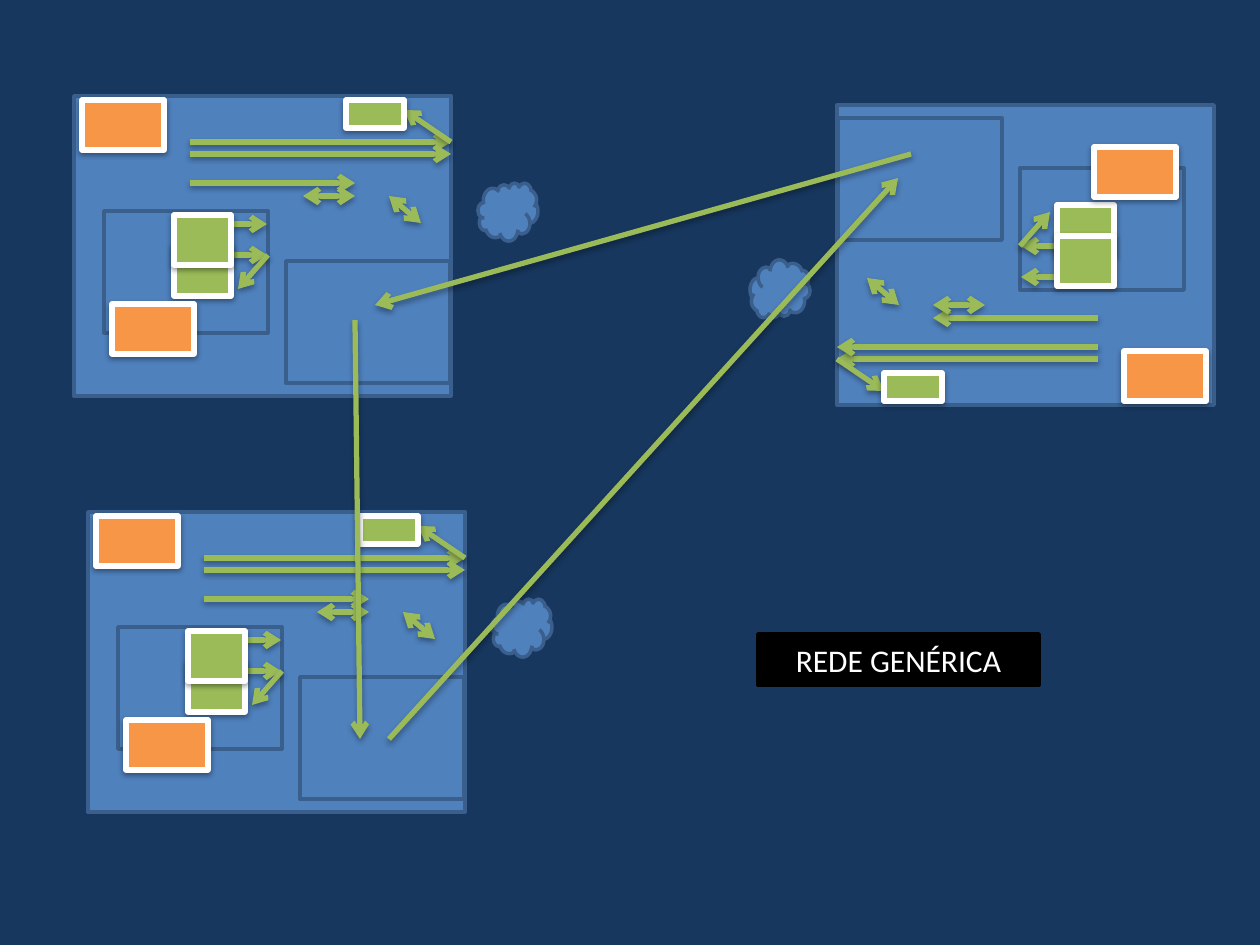
from dataclasses import dataclass

from lxml import etree
from pptx import Presentation
from pptx.dml.color import RGBColor
from pptx.enum.shapes import MSO_CONNECTOR, MSO_SHAPE
from pptx.enum.text import MSO_ANCHOR, PP_ALIGN
from pptx.oxml.ns import qn
from pptx.util import Pt

RECT, CLOUD = MSO_SHAPE.RECTANGLE, MSO_SHAPE.CLOUD
STRAIGHT = MSO_CONNECTOR.STRAIGHT
CENTER, MIDDLE = PP_ALIGN.CENTER, MSO_ANCHOR.MIDDLE
EMU_PER_PX = 914400 / 126


@dataclass(frozen=True)
class Theme:
    background: str = "17375E"
    panel: str = "4F81BD"
    panel_edge: str = "3A5F8C"
    orange: str = "F79646"
    green: str = "9BBB59"
    white: str = "FFFFFF"
    black: str = "000000"
    font: str = "Calibri"
    label_size: int = 18
    thin: int = 2
    thick: int = 3


THEME = Theme()

# Parts of one site, in px from the corner of its main panel
PANELS = [
    (CLOUD, 404, 87, 60, 58),
    (RECT, 0, 0, 377, 300),
    (RECT, 30, 115, 164, 122),
    (RECT, 212, 165, 164, 122),
]
ONE_WAY = [
    (116, 46, 377, 46),
    (116, 58, 377, 58),
    (377, 46, 330, 14),
    (158, 128, 193, 128),
    (158, 159, 193, 159),
    (194, 159, 164, 193),
    (116, 87, 281, 87),
]
TWO_WAY = [(229, 100, 281, 100), (347, 127, 315, 100)]
NODES = [
    (THEME.orange, 8, 4, 82, 50),
    (THEME.green, 100, 150, 57, 50),
    (THEME.green, 100, 119, 57, 50),
    (THEME.green, 272, 4, 58, 28),
    (THEME.orange, 38, 208, 82, 50),
]

# Corner of each site and its direction: -1 is turned by half a circle
SITES = [(74, 96, 1), (88, 512, 1), (1214, 405, -1)]
LINKS = [(355, 320, 360, 739), (389, 739, 898, 178), (911, 154, 375, 305)]


def px(length):
    return round(length * EMU_PER_PX)


def rgb(color):
    return RGBColor.from_string(color)


def add_shadow(element, alpha, distance):
    properties = element._element.spPr
    effects = properties.find(qn("a:effectLst"))
    if effects is None:
        effects = etree.SubElement(properties, qn("a:effectLst"))
    shadow = etree.SubElement(effects, qn("a:outerShdw"), blurRad="40000",
                              dist=str(distance), dir="5400000", rotWithShape="0")
    color = etree.SubElement(shadow, qn("a:srgbClr"), val=THEME.black)
    etree.SubElement(color, qn("a:alpha"), val=str(alpha * 1000))


def add_box(shapes, kind, left, top, width, height, *, fill, edge, weight, shadow=False):
    box = shapes.add_shape(kind, px(left), px(top), px(width), px(height))
    box.fill.solid()
    box.fill.fore_color.rgb = rgb(fill)
    box.line.color.rgb = rgb(edge)
    box.line.width = Pt(weight)
    box.shadow.inherit = False
    if shadow:
        add_shadow(box, 38, 20000)
    return box


def add_arrow(shapes, x1, y1, x2, y2, *, both=False):
    arrow = shapes.add_connector(STRAIGHT, px(x1), px(y1), px(x2), px(y2))
    arrow.line.color.rgb = rgb(THEME.green)
    arrow.line.width = Pt(THEME.thick)
    line = arrow.line._get_or_add_ln()
    for end in ("a:headEnd", "a:tailEnd") if both else ("a:tailEnd",):
        etree.SubElement(line, qn(end), type="arrow")
    add_shadow(arrow, 35, 23000)


def write_text(box, text, *, size, color, align=CENTER):
    frame = box.text_frame
    frame.word_wrap = True
    frame.vertical_anchor = MIDDLE
    para = frame.paragraphs[0]
    para.alignment = align
    span = para.add_run()
    span.text = text
    span.font.name = THEME.font
    span.font.size = Pt(size)
    span.font.color.rgb = rgb(color)


def add_site(page, x, y, direction):
    shapes = page.shapes.add_group_shape().shapes

    def place_box(kind, left, top, width, height, **style):
        if direction < 0:
            left, top = -left - width, -top - height
        box = add_box(shapes, kind, x + left, y + top, width, height, **style)
        box.rotation = 0 if direction > 0 else 180

    def place_arrow(x1, y1, x2, y2, **style):
        add_arrow(shapes, x + direction * x1, y + direction * y1,
                  x + direction * x2, y + direction * y2, **style)

    for kind, *area in PANELS:
        place_box(kind, *area, fill=THEME.panel, edge=THEME.panel_edge, weight=THEME.thin)
    for ends in ONE_WAY:
        place_arrow(*ends)
    for ends in TWO_WAY:
        place_arrow(*ends, both=True)
    for fill, *area in NODES:
        place_box(RECT, *area, fill=fill, edge=THEME.white, weight=THEME.thick, shadow=True)


def main():
    deck = Presentation()
    deck.slide_width, deck.slide_height = px(1260), px(945)
    page = deck.slides.add_slide(deck.slide_layouts[6])
    page.background.fill.solid()
    page.background.fill.fore_color.rgb = rgb(THEME.background)

    # Sites and the links between them
    for site in SITES:
        add_site(page, *site)
    for link in LINKS:
        add_arrow(page.shapes, *link)

    # Label
    label = add_box(page.shapes, RECT, 758, 634, 281, 51,
                    fill=THEME.black, edge=THEME.black, weight=THEME.thin)
    write_text(label, "REDE GENÉRICA", size=THEME.label_size, color=THEME.white)
    deck.save("out.pptx")


if __name__ == "__main__":
    main()
